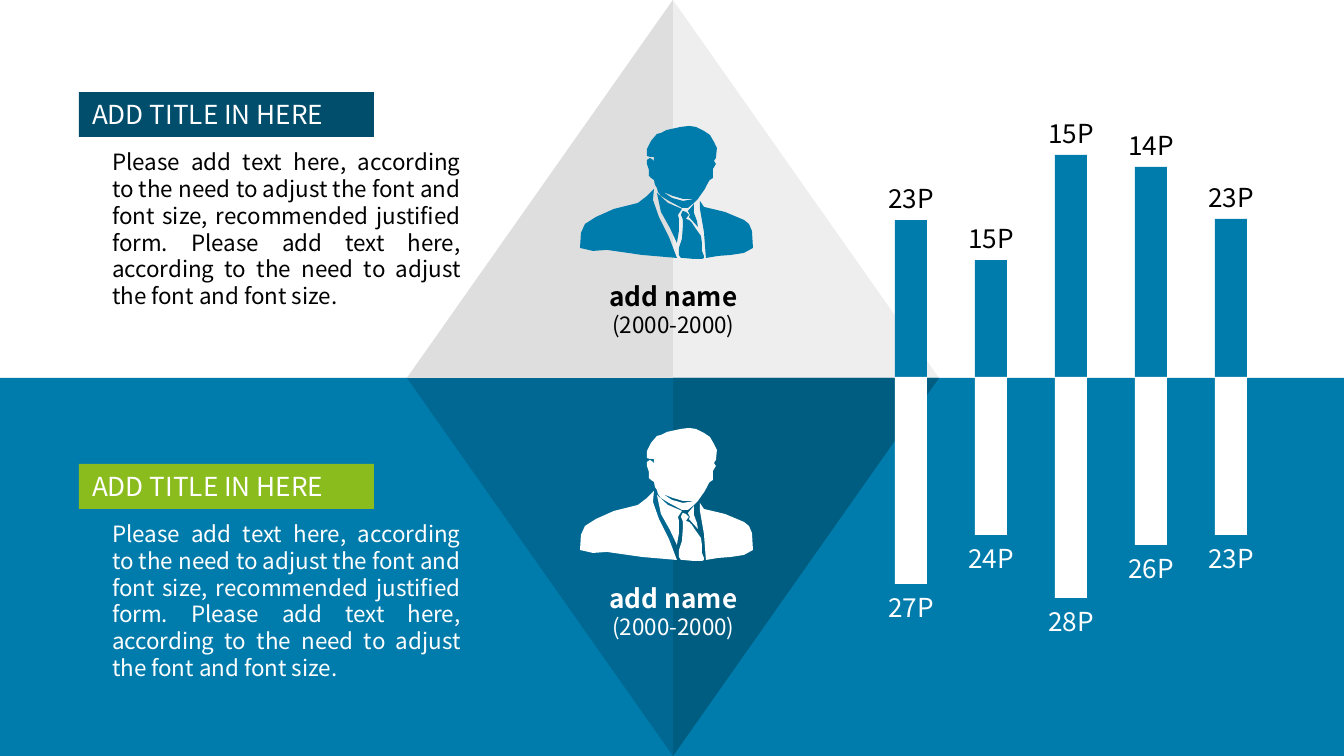
"""Build a two-part comparison slide with portraits and mirrored bars."""
from pptx import Presentation
from pptx.dml.color import RGBColor
from pptx.enum.shapes import MSO_SHAPE
from pptx.enum.text import MSO_ANCHOR, MSO_AUTO_SIZE, PP_ALIGN
from pptx.util import Pt
from lxml import etree

PX = 914400 / 134.4
WIDTH, HEIGHT, HORIZON = 1344, 756, 378
FONT = "Noto Sans CJK KR"
RECT, TRIANGLE, HALF = MSO_SHAPE.RECTANGLE, MSO_SHAPE.ISOSCELES_TRIANGLE, MSO_SHAPE.RIGHT_TRIANGLE
TOP, MIDDLE = MSO_ANCHOR.TOP, MSO_ANCHOR.MIDDLE
LEFT, CENTER, JUSTIFY = PP_ALIGN.LEFT, PP_ALIGN.CENTER, PP_ALIGN.JUSTIFY
NO_AUTOFIT = MSO_AUTO_SIZE.NONE
DRAWING_NS = "http://schemas.openxmlformats.org/drawingml/2006/main"

COLORS = {
    "blue": "007CAC", "navy": "004D6C", "green": "8ABC1D",
    "white": "FFFFFF", "black": "000000",
    "pale": "EEEEEE", "grey": "DEDEDE", "teal": "006892", "deep": "005D82",
}
HEADING = "ADD TITLE IN HERE"
ADVICE = ("Please add text here, according to the need to adjust the font and "
          "font size, recommended justified form. Please add text here, "
          "according to the need to adjust the font and font size.")
BARS = [("23P", 220, "27P", 584), ("15P", 260, "24P", 535), ("15P", 155, "28P", 598),
        ("14P", 167, "26P", 545), ("23P", 219, "23P", 535)]

TIE = [(103, 85), (106, 86), (109, 89), (108, 90), (106, 93), (109, 94), (112, 97),
       (116, 103), (121, 110), (122, 117), (122, 125), (124, 130), (124, 132),
       (122, 133), (114, 133), (103, 132), (101, 132), (99, 129), (99, 122),
       (102, 113), (103, 99), (103, 94), (102, 91), (101, 89), (102, 86)]
RIGHT_SHIRT = [(114, 78), (114, 87), (117, 95), (118, 101), (109, 91), (110, 89), (108, 85)]
RIGHT_JACKET = [(120, 75), (124, 81), (145, 86), (164, 94), (169, 98), (172, 105),
                (173, 122), (164, 127), (151, 129), (138, 130), (126, 132),
                (124, 106), (120, 83)]
LEFT_SHIRT = [(77, 67), (88, 77), (102, 83), (98, 89), (99, 93), (99, 105),
              (97, 117), (90, 102), (81, 86)]
COLLAR = [(83, 66), (92, 72), (103, 75), (109, 74), (114, 73), (109, 73), (103, 73), (93, 70)]
LEFT_JACKET = [(74, 63), (73, 74), (79, 91), (89, 111), (97, 132), (62, 129), (27, 124),
               (13, 125), (0, 122), (1, 107), (5, 98), (16, 91), (34, 83), (58, 77), (67, 70)]
HEAD = [(109, 0), (116, 1), (124, 5), (130, 9), (134, 16), (137, 22), (136, 32),
        (134, 35), (136, 38), (133, 43), (133, 52), (130, 54), (129, 55), (125, 63),
        (120, 70), (118, 73), (114, 77), (108, 82), (102, 82), (89, 75), (81, 70),
        (78, 66), (77, 62), (75, 59), (74, 54), (71, 52), (69, 50), (69, 44), (67, 38),
        (67, 34), (70, 32), (73, 34), (74, 36), (74, 31), (70, 31), (67, 30), (67, 23),
        (71, 15), (77, 8), (81, 7), (87, 4), (101, 1)]
PORTRAIT = [TIE, RIGHT_SHIRT, RIGHT_JACKET, LEFT_SHIRT, COLLAR, LEFT_JACKET, HEAD]


def emu(*lengths):
    """Turn px lengths into EMU."""
    return [round(length * PX) for length in lengths]


def rgb(color):
    """Look up a named colour."""
    return RGBColor.from_string(COLORS[color])


def paint(shape, color):
    """Give a shape a flat fill without line or shadow."""
    shape.shadow.inherit = False
    shape.fill.solid()
    shape.fill.fore_color.rgb = rgb(color)
    shape.line.fill.background()


def add_block(slide, preset, box, color, flips=()):
    """Add a flat preset shape, flipped if asked."""
    block = slide.shapes.add_shape(preset, *emu(*box))
    paint(block, color)
    for flip in flips:
        block._element.spPr.xfrm.set(flip, "1")


def add_portrait(slide, left, top, color):
    """Draw the bust of an anonymous man in a suit."""
    builder = None
    for outline in PORTRAIT:
        if builder is None:
            builder = slide.shapes.build_freeform(*outline[0], scale=PX)
        else:
            builder.move_to(*outline[0])
        builder.add_line_segments(outline[1:], close=True)
    paint(builder.convert_to_shape(*emu(left, top)), color)


def write(frame, lines, color, align, anchor=TOP, wrap=False):
    """Fill a text frame with lines of (text, size, bold)."""
    frame.word_wrap = wrap
    frame.auto_size = NO_AUTOFIT
    frame.vertical_anchor = anchor
    frame.margin_left, frame.margin_top = frame.margin_right, frame.margin_bottom = emu(13, 7)
    for number, (text, size, bold) in enumerate(lines):
        paragraph = frame.add_paragraph() if number else frame.paragraphs[0]
        paragraph.text = text
        paragraph.alignment = align
        paragraph.space_before = Pt(0)
        paragraph.font.name = FONT
        paragraph.font.size = Pt(size)
        paragraph.font.bold = bold
        paragraph.font.color.rgb = rgb(color)


def add_label(slide, box, lines, color):
    """Add a centred text box."""
    label = slide.shapes.add_textbox(*emu(*box))
    write(label.text_frame, lines, color, CENTER)


def place(slide, placeholder, box):
    """Move a placeholder into its box, in front, without bullet or indent."""
    placeholder.left, placeholder.top, placeholder.width, placeholder.height = emu(*box)
    slide.shapes._spTree.append(placeholder._element)
    properties = placeholder.text_frame.paragraphs[0]._p.get_or_add_pPr()
    properties.set("marL", "0")
    properties.set("indent", "0")
    etree.SubElement(properties, f"{{{DRAWING_NS}}}buNone")


def add_section(slide, heading, advice, top, banner, ink):
    """Set a heading banner and the advice below it."""
    place(slide, advice, (99, top + 49, 375, 228))
    write(advice.text_frame, [(ADVICE, 12, False)], ink, JUSTIFY, wrap=True)
    place(slide, heading, (79, top, 295, 45))
    heading.fill.solid()
    heading.fill.fore_color.rgb = rgb(banner)
    write(heading.text_frame, [(HEADING, 14, False)], "white", LEFT, MIDDLE)


def add_person(slide, top, color, ink):
    """Add a portrait with name and years."""
    add_portrait(slide, 580, top, color)
    add_label(slide, (586, top + 147, 175, 73),
              [("add name", 14, True), ("(2000-2000)", 12, False)], ink)


def add_bars(slide):
    """Add the bars that rise and fall from the horizon, with labels."""
    for number, (upper, top, lower, bottom) in enumerate(BARS):
        left, axis = 895 + 80 * number, HORIZON - 1
        add_block(slide, RECT, (left, top, 32, axis - top), "blue")
        add_block(slide, RECT, (left, axis, 32, bottom - axis), "white")
        add_label(slide, (left - 21, top - 45, 74, 46), [(upper, 14, False)], "black")
        add_label(slide, (left - 21, bottom, 74, 46), [(lower, 14, False)], "white")


def add_backdrop(slide):
    """Add the lower field and the shaded diamond."""
    left, half = 407, 266
    add_block(slide, RECT, (0, HORIZON, WIDTH, HORIZON), "blue")
    add_block(slide, TRIANGLE, (left, 0, 2 * half, HORIZON), "pale")
    add_block(slide, TRIANGLE, (left, HORIZON, 2 * half, HORIZON), "teal", ["flipV"])
    add_block(slide, HALF, (left, 0, half, HORIZON), "grey", ["flipH"])
    add_block(slide, HALF, (left + half, HORIZON, half, HORIZON), "deep", ["flipV"])


def main():
    """Build and save the slide."""
    deck = Presentation()
    deck.slide_width, deck.slide_height = emu(WIDTH, HEIGHT)
    slide = deck.slides.add_slide(deck.slide_layouts.get_by_name("Comparison"))
    title, subtitle, advice, spare, second_advice = slide.placeholders
    spare._element.getparent().remove(spare._element)
    add_backdrop(slide)
    add_person(slide, 126, "blue", "black")
    add_person(slide, 428, "white", "white")
    add_section(slide, title, advice, 92, "navy", "black")
    add_section(slide, subtitle, second_advice, 464, "green", "white")
    add_bars(slide)
    deck.save("out.pptx")


if __name__ == "__main__":
    main()
